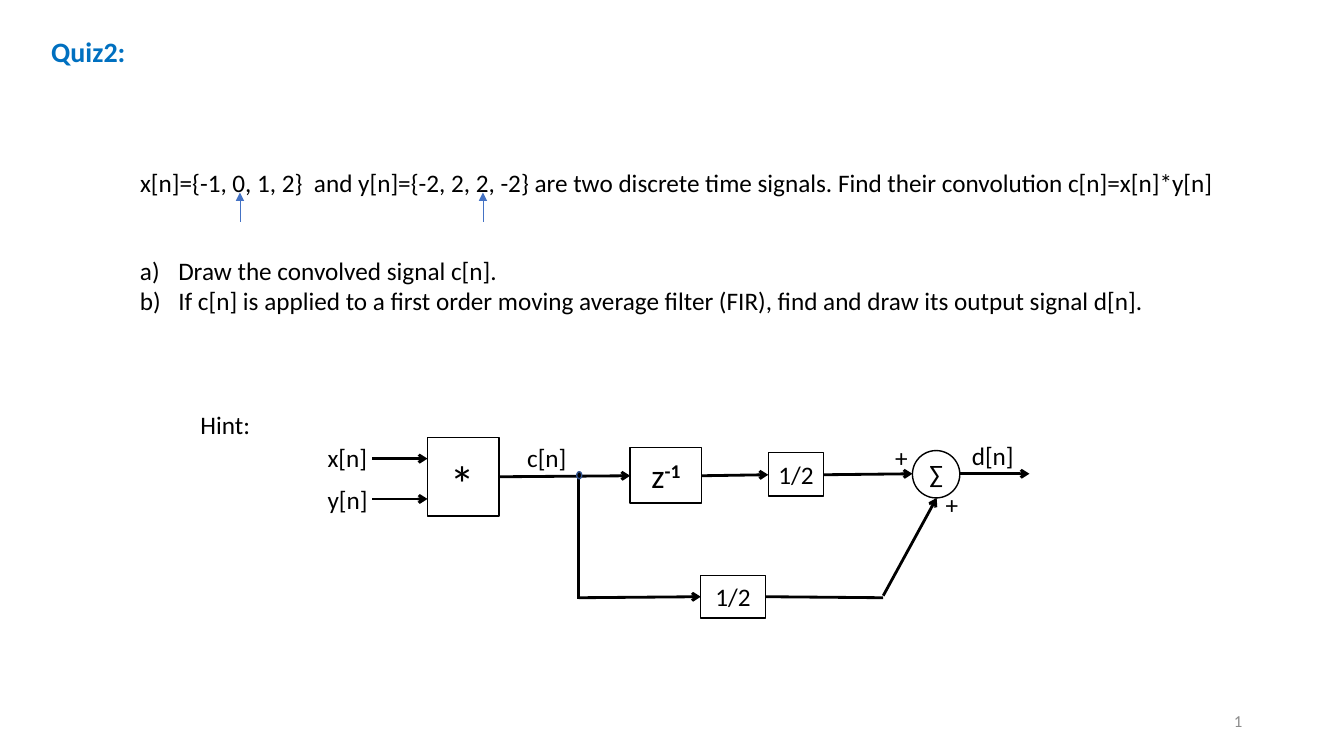
from dataclasses import dataclass

from lxml import etree
from pptx import Presentation
from pptx import util as u
from pptx.dml.color import RGBColor
from pptx.enum import shapes, text
from pptx.oxml.ns import qn


@dataclass(frozen=True)
class Theme:
    font: str = "Calibri"
    ink: str = "000000"
    paper: str = "FFFFFF"
    heading: str = "0070C0"
    marker: str = "4472C4"
    junction: str = "325491"
    muted: str = "8C8C8C"
    footer_size: int = 12
    body_size: int = 18
    heading_size: int = 20
    delay_size: int = 24
    star_size: int = 36


theme = Theme()
LEFT, CENTER, RIGHT = text.PP_ALIGN.LEFT, text.PP_ALIGN.CENTER, text.PP_ALIGN.RIGHT
TOP, MIDDLE = text.MSO_ANCHOR.TOP, text.MSO_ANCHOR.MIDDLE
RECT, OVAL = shapes.MSO_SHAPE.RECTANGLE, shapes.MSO_SHAPE.OVAL

deck = Presentation()
deck.slide_width, deck.slide_height = u.Inches(13.33), u.Inches(7.5)
slide = deck.slides.add_slide(deck.slide_layouts[6])


def write(words, frame=None, at=None, size=theme.body_size, color=theme.ink, bold=False,
          align=LEFT, anchor=TOP, wrap=False, lettered=False, exponent=""):
    """Put one paragraph per line of words in frame, or in a new text box at the given place."""
    if frame is None:
        frame = slide.shapes.add_textbox(*map(u.Inches, at)).text_frame
    frame.word_wrap, frame.vertical_anchor = wrap, anchor
    for index, line in enumerate(words.split("\n")):
        paragraph = frame.add_paragraph() if index else frame.paragraphs[0]
        paragraph.alignment = align
        for part in filter(None, (line, exponent)):
            run = paragraph.add_run()
            run.text = part
            run.font.name, run.font.size = theme.font, u.Pt(size)
            run.font.color.rgb = RGBColor.from_string(color)
            run.font.bold = bold
        if exponent:
            run.font.bold = True
            run.font._element.set("baseline", "30000")
        if lettered:
            properties = paragraph._p.get_or_add_pPr()
            properties.set("marL", str(u.Inches(0.38)))
            properties.set("indent", str(-u.Inches(0.38)))
            etree.SubElement(properties, qn("a:buAutoNum"), type="alphaLcParenR")


def wire(start, end, head="arrow", color=theme.ink, width=2):
    line = slide.shapes.add_connector(
        shapes.MSO_CONNECTOR.STRAIGHT, *map(u.Inches, start + end))
    line.line.color.rgb = RGBColor.from_string(color)
    line.line.width = u.Pt(width)
    if head:
        etree.SubElement(line.line._get_or_add_ln(), qn("a:tailEnd"), type=head)
    etree.SubElement(line._element.spPr, qn("a:effectLst"))


# Question
write("Quiz2:", at=(0.41, 0.29, 1.61, 0.44), size=theme.heading_size,
      color=theme.heading, bold=True, wrap=True)
write("x[n]={-1, 0, 1, 2}  and y[n]={-2, 2, 2, -2} are two discrete time signals. "
      "Find their convolution c[n]=x[n]*y[n]", at=(1.29, 1.61, 11.19, 0.4), wrap=True)
for origin_x in (2.38, 4.79):
    wire((origin_x, 2.2), (origin_x, 1.91), "triangle", theme.marker, 0.5)
write("Draw the convolved signal c[n].\n"
      "If c[n] is applied to a first order moving average filter (FIR), "
      "find and draw its output signal d[n].",
      at=(1.29, 2.48, 10.27, 0.71), wrap=True, lettered=True)
write("1", at=(9.42, 6.95, 3, 0.4), size=theme.footer_size, color=theme.muted,
      align=RIGHT, anchor=MIDDLE, wrap=True)

# Block diagram: signal paths
for input_y in (4.55, 4.95):
    wire((3.69, input_y), (4.24, input_y))
for start, end in (
    ((4.94, 4.73), (6.25, 4.72)),
    ((6.96, 4.72), (7.62, 4.71)),
    ((8.17, 4.71), (9.05, 4.7)),
    ((9.51, 4.7), (10.21, 4.7)),
    ((5.74, 5.93), (6.95, 5.92)),
    ((8.76, 5.91), (9.29, 4.94)),
):
    wire(start, end)
wire((5.74, 4.72), (5.74, 5.94), head=None)
wire((8.76, 5.93), (7.59, 5.92), head=None)

# Block diagram: blocks, adder and branch point
for outline, place, fill, edge, words, style in (
    (RECT, (4.24, 4.34, 0.71, 0.78), theme.paper, theme.ink, "", {}),
    (RECT, (6.25, 4.44, 0.71, 0.55), theme.paper, theme.ink, "z",
     {"size": theme.delay_size, "exponent": "-1"}),
    (RECT, (7.62, 4.49, 0.55, 0.43), theme.paper, theme.ink, "1/2", {}),
    (RECT, (6.95, 5.71, 0.64, 0.42), theme.paper, theme.ink, "1/2", {}),
    (OVAL, (9.05, 4.47, 0.47, 0.47), theme.paper, theme.ink, "", {}),
    (OVAL, (5.72, 4.68, 0.05, 0.07), theme.ink, theme.junction, "", {}),
):
    block = slide.shapes.add_shape(outline, *map(u.Inches, place))
    block.shadow.inherit = False
    block.fill.solid()
    block.fill.fore_color.rgb = RGBColor.from_string(fill)
    block.line.color.rgb = RGBColor.from_string(edge)
    block.line.width = u.Pt(1)
    if words:
        write(words, block.text_frame, align=CENTER, anchor=MIDDLE, **style)

# Block diagram: labels
write("*", at=(4.36, 4.44, 0.45, 0.71), size=theme.star_size)
for label, left, top, width in (
    ("Hint:", 1.89, 4.01, 0.7),
    ("x[n]", 3.15, 4.34, 0.62),
    ("y[n]", 3.15, 4.76, 0.62),
    ("c[n]", 5.13, 4.34, 0.6),
    ("d[n]", 9.54, 4.32, 0.62),
    ("∑", 9.12, 4.5, 0.34),
    ("+", 8.78, 4.34, 0.33),
    ("+", 9.28, 4.81, 0.33),
):
    write(label, at=(left, top, width, 0.4))

deck.save("out.pptx")
